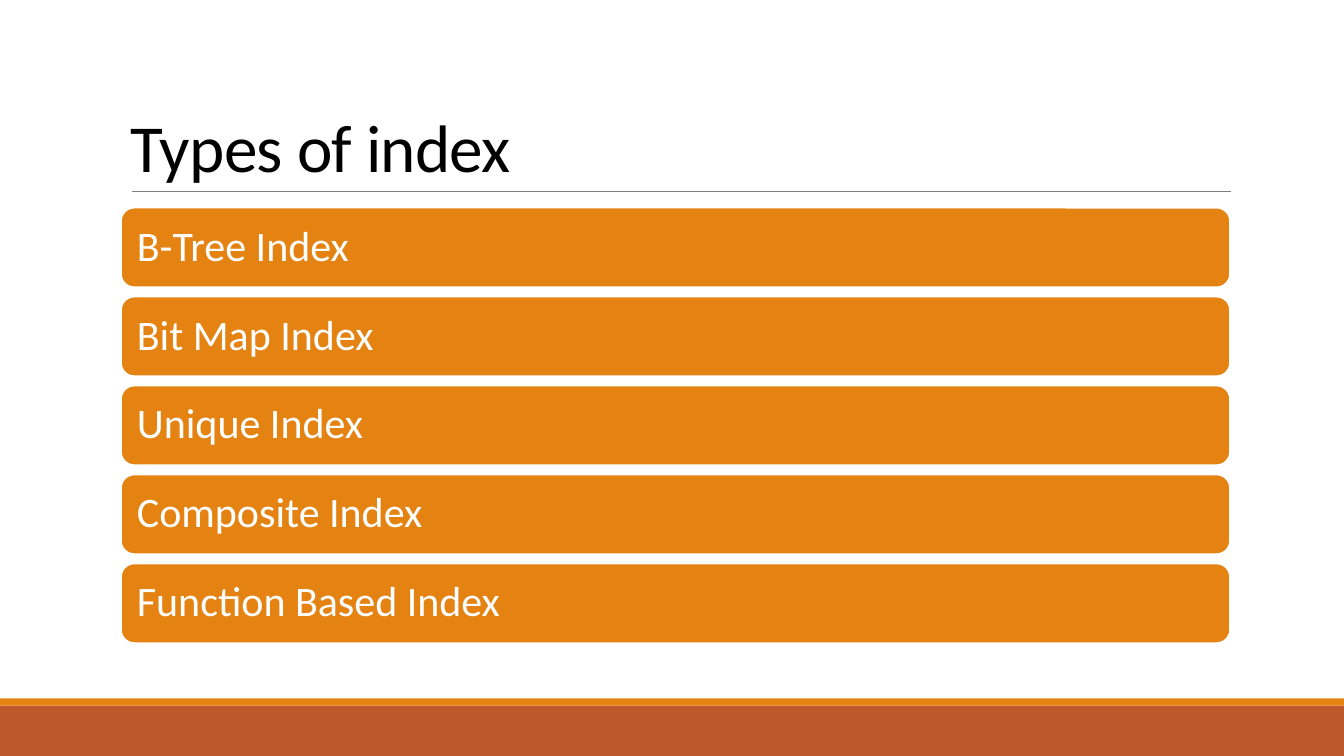
from lxml.etree import SubElement
from pptx import Presentation
from pptx.dml.color import RGBColor
from pptx.enum.shapes import MSO_CONNECTOR, MSO_SHAPE
from pptx.enum.text import MSO_ANCHOR, PP_ALIGN
from pptx.oxml.ns import qn
from pptx.util import Inches, Pt

COLORS = {
    "orange": "E48312",
    "rust": "BD582C",
    "gray": "808080",
    "black": "000000",
    "white": "FFFFFF",
}
INDEX_TYPES = [
    "B-Tree Index",
    "Bit Map Index",
    "Unique Index",
    "Composite Index",
    "Function Based Index",
]
BAR_TOP = 2.06
BAR_PITCH = 0.8825


def color(name):
    return RGBColor.from_string(COLORS[name])


def add_box(s, kind, x, y, w, h, fill):
    sp = s.shapes.add_shape(kind, Inches(x), Inches(y), Inches(w), Inches(h))
    sp.shadow.inherit = False
    sp.fill.solid()
    sp.fill.fore_color.rgb = color(fill)
    sp.line.fill.background()
    return sp


def set_text(sp, text, size, font_color, anchor, spacing):
    tf = sp.text_frame
    tf.word_wrap = True
    tf.vertical_anchor = anchor
    p = tf.paragraphs[0]
    p.text = text
    p.alignment = PP_ALIGN.LEFT
    p.line_spacing = spacing
    r = p.runs[0]
    r.font.name = "Calibri"
    r.font.size = Pt(size)
    r.font.color.rgb = color(font_color)
    return r


def add_title(s, text):
    sp = s.shapes.add_textbox(Inches(1.2), Inches(0.31), Inches(11), Inches(1.59))
    r = set_text(sp, text, 48, "black", MSO_ANCHOR.BOTTOM, 0.85)
    r.font._element.set("spc", "-50")


def add_rule(s, x1, x2, y):
    line = s.shapes.add_connector(
        MSO_CONNECTOR.STRAIGHT, Inches(x1), Inches(y), Inches(x2), Inches(y))
    line.line.color.rgb = color("gray")
    line.line.width = Pt(0.5)
    SubElement(line._element.spPr, qn("a:effectLst"))


def add_bar(s, text, y):
    sp = add_box(s, MSO_SHAPE.ROUNDED_RECTANGLE, 1.2, y, 11, 0.79, "orange")
    sp.line.color.rgb = color("white")
    sp.line.width = Pt(1.25)
    tf = sp.text_frame
    tf.margin_left = tf.margin_right = Inches(0.12)
    tf.margin_top = tf.margin_bottom = Inches(0.12)
    set_text(sp, text, 30, "white", MSO_ANCHOR.MIDDLE, 0.9)


def main():
    prs = Presentation()
    prs.slide_width = Inches(13.33)
    prs.slide_height = Inches(7.5)
    s = prs.slides.add_slide(prs.slide_layouts[6])
    add_box(s, MSO_SHAPE.RECTANGLE, 0, 7, 13.33, 0.5, "rust")
    add_box(s, MSO_SHAPE.RECTANGLE, 0, 6.93, 13.33, 0.07, "orange")
    add_rule(s, 1.31, 12.21, 1.9)
    add_title(s, "Types of index")
    for i, name in enumerate(INDEX_TYPES):
        add_bar(s, name, BAR_TOP + i * BAR_PITCH)
    prs.save("out.pptx")


if __name__ == "__main__":
    main()
